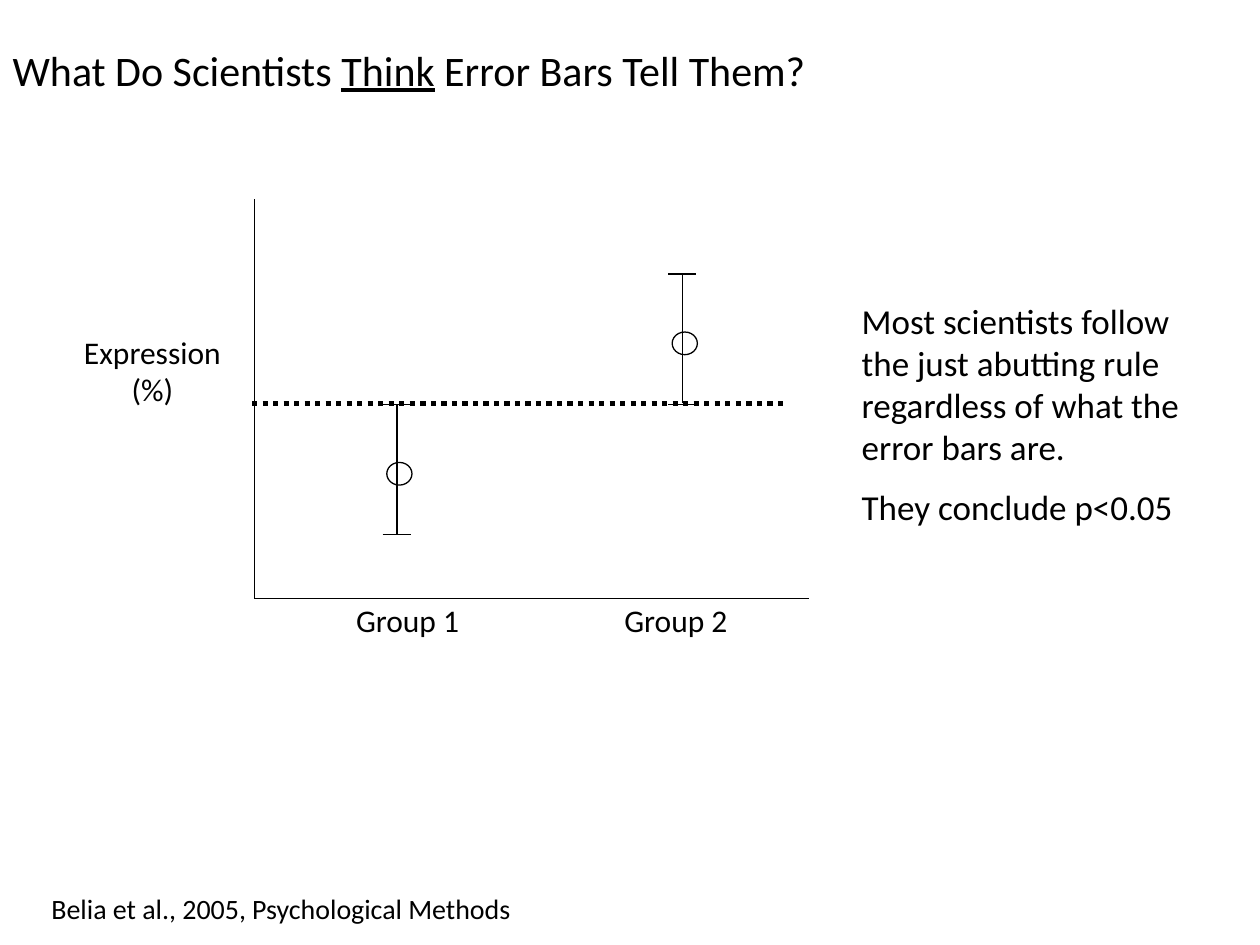
from lxml import etree
from pptx import Presentation
from pptx import util as u
from pptx.dml.color import RGBColor
from pptx.enum import dml, shapes, text
from pptx.oxml.ns import qn

COLUMNS, ROWS = 100, 75
CELL = u.Inches(0.1)
BLACK, WHITE = "000000", "FFFFFF"
FONT = "Calibri"


def color(hex_string):
    """Turn a hex string into a colour."""
    return RGBColor.from_string(hex_string)


def grid(*cells):
    """Turn counts of grid columns or rows into lengths."""
    return [round(cell * CELL) for cell in cells]


def add_run(paragraph, words, size, underline=False):
    """Add one run of black text."""
    run = paragraph.add_run()
    run.text = words
    run.font.name = FONT
    run.font.size = u.Pt(size)
    run.font.underline = underline
    run.font.color.rgb = color(BLACK)


def add_line(parent, start, end, width=0.75, dash=None):
    """Draw a straight black line between two grid points."""
    line = parent.add_connector(shapes.MSO_CONNECTOR.STRAIGHT, *grid(*start, *end))
    line.line.color.rgb = color(BLACK)
    line.line.width = u.Pt(width)
    if dash:
        line.line.dash_style = dash
    properties = line.element.find(qn("p:spPr"))
    etree.SubElement(properties, qn("a:effectLst"))


def add_mean(parent, left, top):
    """Draw the open circle that marks a group's mean."""
    circle = parent.add_shape(shapes.MSO_SHAPE.OVAL, *grid(left, top, 2, 1.8))
    circle.shadow.inherit = False
    circle.fill.solid()
    circle.fill.fore_color.rgb = color(WHITE)
    circle.line.color.rgb = color(BLACK)
    circle.line.width = u.Pt(0.75)


def add_error_bar(slide, center, top, height=10.35, cap=2.25):
    """Group a mean with its vertical bar and two caps."""
    group = slide.shapes.add_group_shape().shapes
    bottom = top + height
    add_mean(group, center - 0.8, top + 4.6)
    add_line(group, (center, top), (center, bottom - 0.1))
    for level in (top, bottom):
        add_line(group, (center - cap / 2, level), (center + cap / 2, level))


def add_text(slide, box, lines, size, align, wrap=False, gap=0):
    """Add a text box with one paragraph per line."""
    frame = slide.shapes.add_textbox(*grid(*box)).text_frame
    frame.word_wrap = wrap
    frame.auto_size = text.MSO_AUTO_SIZE.SHAPE_TO_FIT_TEXT
    for index, words in enumerate(lines):
        paragraph = frame.add_paragraph() if index else frame.paragraphs[0]
        paragraph.alignment = align
        if index:
            paragraph.space_before = u.Pt(gap)
        add_run(paragraph, words, size)


def fill_title(slide):
    """Place and write the title with its underlined word."""
    title = slide.shapes.title
    title.left, title.top, title.width, title.height = grid(0, 2.6, COLUMNS, 6.3)
    frame = title.text_frame
    frame.vertical_anchor = text.MSO_ANCHOR.MIDDLE
    paragraph = frame.paragraphs[0]
    paragraph.alignment = text.PP_ALIGN.LEFT
    paragraph.line_spacing = 0.9
    add_run(paragraph, "What Do Scientists ", 24)
    add_run(paragraph, "Think", 24, underline=True)
    add_run(paragraph, " Error Bars Tell Them?", 24)


def main():
    """Build the slide and save it."""
    presentation = Presentation()
    presentation.slide_width, presentation.slide_height = grid(COLUMNS, ROWS)
    slide = presentation.slides.add_slide(presentation.slide_layouts[5])
    left, center = text.PP_ALIGN.LEFT, text.PP_ALIGN.CENTER
    fill_title(slide)

    origin = (20.2, 47.5)
    for axis_end in ((20.2, 15.8), (64.2, 47.5)):
        add_line(slide.shapes, origin, axis_end)
    groups = (("Group 1", 25.3, 31.5, 32.1), ("Group 2", 46.6, 54.15, 21.75))
    for name, label_left, bar_center, bar_top in groups:
        add_text(slide, (label_left, 47.2, 14.1, 5), [name], 18, center)
        add_error_bar(slide, bar_center, bar_top)
    add_line(slide.shapes, (20, 32), (62.5, 32), 3, dml.MSO_LINE.ROUND_DOT)

    add_text(slide, (5.6, 25.9, 13, 7.1), ["Expression", "(%)"], 18, center)
    conclusions = [
        "Most scientists follow the just abutting rule regardless of what the error bars are.",
        "They conclude p<0.05",
    ]
    add_text(slide, (67.4, 23.3, 28.2, 19.5), conclusions, 20, left, wrap=True, gap=10)
    source = ["Belia et al., 2005, Psychological Methods"]
    add_text(slide, (3.1, 70.3, 38.9, 3.7), source, 16, left)
    presentation.save("out.pptx")


if __name__ == "__main__":
    main()
